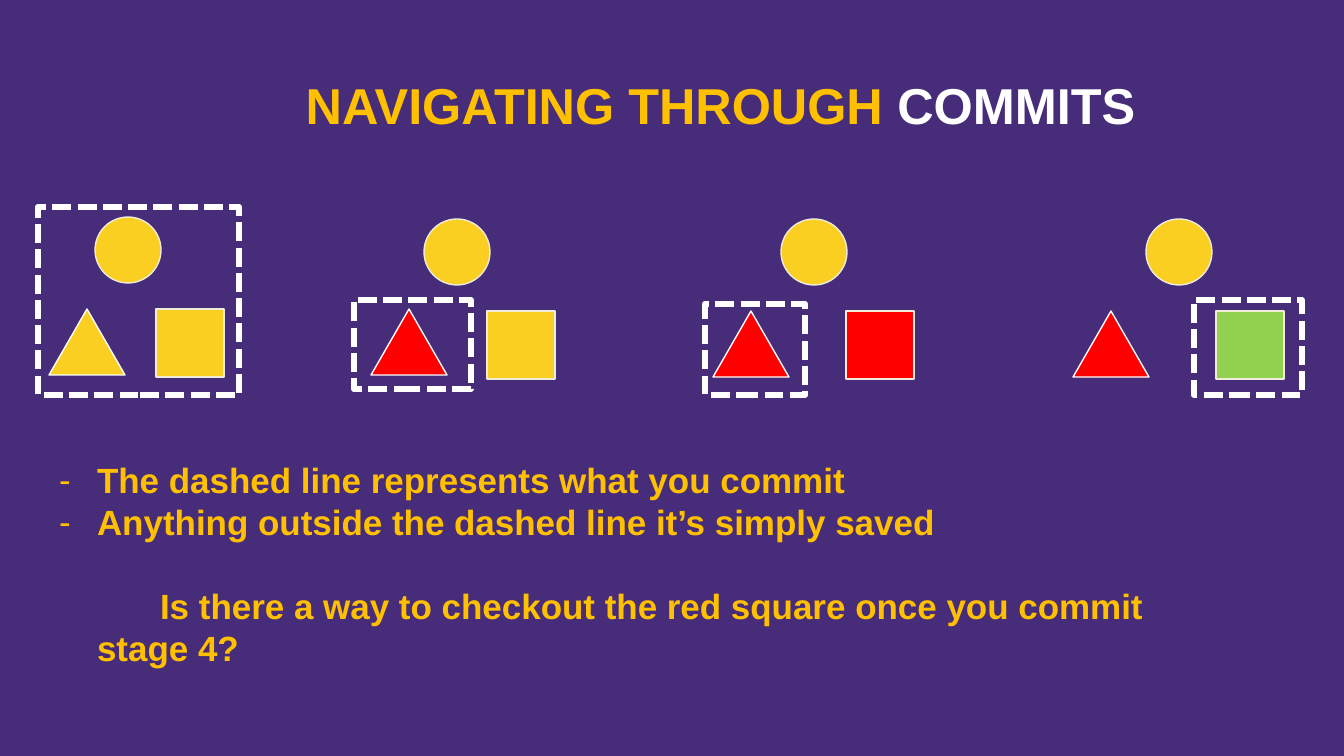
from lxml import etree
from pptx import Presentation
from pptx.dml.color import RGBColor
from pptx.enum.dml import MSO_LINE
from pptx.enum.shapes import MSO_SHAPE
from pptx.enum.text import MSO_ANCHOR, MSO_AUTO_SIZE, PP_ALIGN
from pptx.oxml.ns import qn
from pptx.util import Emu, Pt

SCALE = 914400 / 100.8
FONT = "Arial"
PURPLE = RGBColor(0x46, 0x2C, 0x79)
GOLD = RGBColor(0xFF, 0xC0, 0x00)
YELLOW = RGBColor(0xFB, 0xCF, 0x22)
RED = RGBColor(0xFF, 0x00, 0x00)
GREEN = RGBColor(0x92, 0xD0, 0x50)
CREAM = RGBColor(0xEF, 0xEC, 0xDA)
WHITE = RGBColor(0xFF, 0xFF, 0xFF)
OVAL, TRIANGLE, RECT = MSO_SHAPE.OVAL, MSO_SHAPE.ISOSCELES_TRIANGLE, MSO_SHAPE.RECTANGLE
DASH = MSO_LINE.SQUARE_DOT
LEFT, CENTER = PP_ALIGN.LEFT, PP_ALIGN.CENTER
TOP, MIDDLE = MSO_ANCHOR.TOP, MSO_ANCHOR.MIDDLE
NO_FIT = MSO_AUTO_SIZE.NONE


def px(n):
    """Turn pixels into EMU."""
    return Emu(round(n * SCALE))


class Deck:
    """Holds the style and the current slide."""

    def __init__(self, width, height):
        """Start a presentation with one title-and-content slide."""
        self.prs = Presentation()
        self.prs.slide_width, self.prs.slide_height = px(width), px(height)
        self.s = self.prs.slides.add_slide(self.prs.slide_layouts[1])
        fill = self.s.background.fill
        fill.solid()
        fill.fore_color.rgb = PURPLE

    def shape(self, kind, x, y, w, h, fill, line=CREAM):
        """Add a filled shape with a thin outline."""
        sp = self.s.shapes.add_shape(kind, px(x), px(y), px(w), px(h))
        sp.shadow.inherit = False
        sp.fill.solid()
        sp.fill.fore_color.rgb = fill
        sp.line.color.rgb = line
        sp.line.width = Pt(1)

    def dashed(self, x, y, w, h):
        """Add the dashed frame around what is committed."""
        sp = self.s.shapes.add_shape(RECT, px(x), px(y), px(w), px(h))
        sp.shadow.inherit = False
        sp.fill.background()
        sp.line.color.rgb = WHITE
        sp.line.width = Pt(4.5)
        sp.line.dash_style = DASH

    def frame(self, sp, x, y, w, h, anchor):
        """Place a placeholder and return its text frame."""
        sp.left, sp.top, sp.width, sp.height = px(x), px(y), px(w), px(h)
        sp.fill.solid()
        sp.fill.fore_color.rgb = PURPLE
        tf = sp.text_frame
        tf.word_wrap = True
        tf.auto_size = NO_FIT
        tf.vertical_anchor = anchor
        tf.margin_left = tf.margin_right = px(10)
        tf.margin_top = tf.margin_bottom = px(5)
        return tf

    def run(self, p, text, size, color):
        """Add one bold run."""
        r = p.add_run()
        r.text = text
        r.font.name, r.font.size, r.font.bold = FONT, Pt(size), True
        r.font.color.rgb = color

    def title(self, parts, x, y, w, h):
        """Fill the title with (text, colour) runs."""
        tf = self.frame(self.s.shapes.title, x, y, w, h, MIDDLE)
        p = tf.paragraphs[0]
        p.alignment = CENTER
        for text, color in parts:
            self.run(p, text, 36, color)

    def body(self, items, x, y, w, h):
        """Fill the body with (text, first-line indent, bullet, space before)."""
        tf = self.frame(self.s.placeholders[1], x, y, w, h, TOP)
        for i, (text, indent, bullet, before) in enumerate(items):
            p = tf.add_paragraph() if i else tf.paragraphs[0]
            p.alignment = LEFT
            p.line_spacing, p.space_before, p.space_after = Pt(30), Pt(before), Pt(0)
            pPr = p._p.get_or_add_pPr()
            pPr.set("marL", str(px(38)))
            pPr.set("indent", str(px(indent)))
            if bullet:
                etree.SubElement(pPr, qn("a:buFont"), typeface=FONT)
                etree.SubElement(pPr, qn("a:buChar"), char=bullet)
            else:
                etree.SubElement(pPr, qn("a:buNone"))
            self.run(p, text, 25, GOLD)

    def stage(self, circle, triangle, square, commit):
        """Add one stage: circle, triangle, square and its dashed frame."""
        self.shape(OVAL, *circle, 66, 66, YELLOW)
        *place, color = triangle
        self.shape(TRIANGLE, *place, 76, 66, color, WHITE)
        *place, color = square
        self.shape(RECT, *place, 68, 68, color)
        self.dashed(*commit)


# circle (x, y), triangle and square (x, y, colour), commit frame (x, y, w, h)
STAGES = [
    ((95, 217), (49, 309, YELLOW), (156, 309, YELLOW), (38, 207, 201, 188)),
    ((424, 219), (371, 309, RED), (487, 311, YELLOW), (354, 300, 117, 89)),
    ((781, 219), (713, 311, RED), (846, 311, RED), (705, 304, 100, 91)),
    ((1146, 219), (1073, 311, RED), (1216, 311, GREEN), (1194, 300, 108, 95)),
]
NOTES = [
    ("The dashed line represents what you commit", -38, "-", 0),
    ("Anything outside the dashed line it’s simply saved", -38, "-", 0),
    ("Is there a way to checkout the red square once you commit stage 4?", 63, None, 30),
]

deck = Deck(1344, 756)
deck.title([("NAVIGATING THROUGH ", GOLD), ("COMMITS", WHITE)], 295, 68, 851, 72)
deck.body(NOTES, 49, 454, 1130, 222)
for stage in STAGES:
    deck.stage(*stage)
deck.prs.save("out.pptx")
